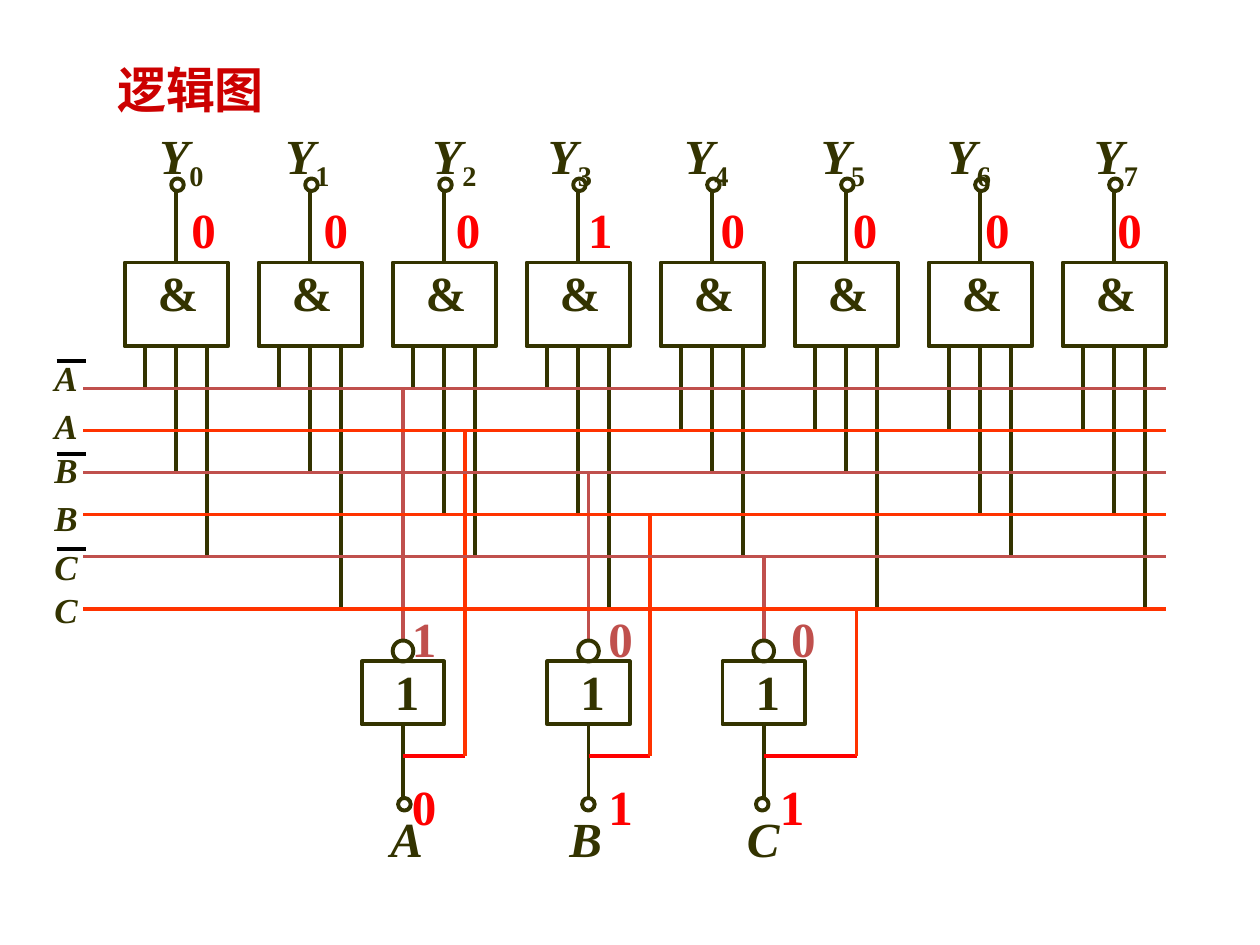
import pptx
import pptx.util
import pptx.dml.color
import pptx.enum.shapes
import pptx.enum.text
import pptx.oxml.ns
from lxml import etree

THEME = {
    "font": "Times New Roman",
    "title": "CC0000", "ink": "333300", "inverted": "C0504D",
    "direct": "FF3300", "value": "FF0000", "bar": "000000",
    "large": 28, "small": 20, "line": 2.25,
}

TITLE = "逻辑图"
OUTPUTS = [("0", 14), ("0", 26), ("0", 40), ("1", 51),
           ("0", 64), ("0", 77), ("0", 89), ("0", 103)]
BUSES = [
    {"name": "A", "row": 37, "label": 33.2, "bar": 34.4},
    {"name": "A", "row": 41, "label": 37.8},
    {"name": "B", "row": 45, "label": 42, "bar": 43.2},
    {"name": "B", "row": 49, "label": 46.6},
    {"name": "C", "row": 53, "label": 51.2, "bar": 52.3},
    {"name": "C", "row": 58, "label": 55.3},
]
INPUTS = [
    {"name": "A", "value": "0", "inverse": "1", "column": 23, "feedback": 33,
     "terminal": 3.16, "label": 3, "value_left": 3.17, "inverse_left": 3.17},
    {"name": "B", "value": "1", "inverse": "0", "column": 41, "feedback": 51,
     "terminal": 4.62, "label": 4.42, "value_left": 4.73, "inverse_left": 4.73},
    {"name": "C", "value": "1", "inverse": "0", "column": 58, "feedback": 71,
     "terminal": 6, "label": 5.83, "value_left": 6.09, "inverse_left": 6.18},
]

ROW = 1 / 12
COLUMN = 0.0818
GRID_LEFT = 0.99
GATE_PITCH, GATE_WIDTH, PINS = 13, 10, (2, 5, 8)
GATE_TOP, GATE_HEIGHT = 25, 8
INVERTER_TOP, INVERTER_WIDTH, INVERTER_HEIGHT = 63, 8, 6
BUS_START, BUS_END = -4, 101
TERMINAL = 0.1

Inches = pptx.util.Inches
SHAPES = pptx.enum.shapes.MSO_SHAPE

presentation = pptx.Presentation()
presentation.slide_width = Inches(10)
presentation.slide_height = Inches(7.5)
slide = presentation.slides.add_slide(presentation.slide_layouts[5])


def column_x(column):
    return GRID_LEFT + column * COLUMN


def color(name):
    return pptx.dml.color.RGBColor.from_string(THEME[name])


def apply(target, values):
    for name, value in values.items():
        setattr(target, name, value)


def write(shape, runs, tint, size="large", margin_top=0.08):
    frame = shape.text_frame
    apply(frame, {
        "word_wrap": True, "auto_size": pptx.enum.text.MSO_AUTO_SIZE.NONE,
        "vertical_anchor": pptx.enum.text.MSO_ANCHOR.TOP,
        "margin_left": Inches(0.1), "margin_right": 0,
        "margin_top": Inches(margin_top), "margin_bottom": 0,
    })
    paragraph = frame.paragraphs[0]
    paragraph.alignment = pptx.enum.text.PP_ALIGN.LEFT
    for text, italic, baseline in runs:
        run = paragraph.add_run()
        run.text = text
        apply(run.font, {"name": THEME["font"], "bold": True, "italic": italic,
                         "size": pptx.util.Pt(THEME[size])})
        run.font.color.rgb = color(tint)
        if baseline:
            run.font._element.set("baseline", str(baseline))


def label(left, row, runs, tint="ink", size="large", width=0.65):
    height = 0.57 if size == "large" else 0.43
    box = slide.shapes.add_textbox(
        Inches(left), Inches(row * ROW), Inches(width), Inches(height))
    write(box, runs, tint, size, 0.08 if size == "large" else 0.06)


def outline(kind, left, row, width, height):
    shape = slide.shapes.add_shape(
        kind, Inches(left), Inches(row * ROW), Inches(width), Inches(height))
    shape.shadow.inherit = False
    shape.fill.background()
    shape.line.color.rgb = color("ink")
    shape.line.width = pptx.util.Pt(THEME["line"])
    return shape


def wire(start_x, start_row, end_x, end_row, tint="ink", source=None, site=0):
    connector = slide.shapes.add_connector(
        pptx.enum.shapes.MSO_CONNECTOR.STRAIGHT, Inches(start_x),
        Inches(start_row * ROW), Inches(end_x), Inches(end_row * ROW))
    connector.line.color.rgb = color(tint)
    connector.line.width = pptx.util.Pt(THEME["line"])
    etree.SubElement(connector._element.spPr, pptx.oxml.ns.qn("a:effectLst"))
    if source is not None:
        connector.begin_connect(source, site)


def draw_title():
    title = slide.shapes.title
    apply(title, {"left": Inches(0.83), "top": Inches(0.42),
                  "width": Inches(1.51), "height": Inches(0.57)})
    write(title, [(TITLE, False, 0)], "title", margin_top=0.05)


def draw_gate(index, value, label_column):
    left = column_x(index * GATE_PITCH)
    bottom = GATE_TOP + GATE_HEIGHT
    middle = left + GATE_WIDTH / 2 * COLUMN
    gate = outline(SHAPES.RECTANGLE, left, GATE_TOP,
                   GATE_WIDTH * COLUMN, GATE_HEIGHT * ROW)
    label(left + 2 * COLUMN, GATE_TOP - 1, [("&", False, 0)])
    wire(middle, GATE_TOP, middle, 18, source=gate)
    outline(SHAPES.OVAL, middle - TERMINAL / 2 + 0.01, 17, TERMINAL, TERMINAL)
    for position, pin in enumerate(PINS):
        bit = index >> (2 - position) & 1
        pin_x = left + pin * COLUMN
        wire(pin_x, bottom, pin_x, BUSES[2 * position + bit]["row"],
             source=gate if position == 1 else None, site=2)
    label(label_column * ROW, 11, [("Y", True, 0), (str(index), False, -25000)])
    label(1.42 + 1.05 * index, 18, [(value, False, 0)], "value")


def draw_bus(index, bus):
    tint = "direct" if index % 2 else "inverted"
    wire(column_x(BUS_START), bus["row"], column_x(BUS_END), bus["row"], tint)
    label(4 * ROW, bus["label"], [(bus["name"], True, 0)], size="small", width=0.39)
    if "bar" in bus:
        wire(0.45, bus["bar"], 0.68, bus["bar"], "bar")


def draw_input(index, signal):
    left = column_x(signal["column"])
    middle = left + INVERTER_WIDTH / 2 * COLUMN
    feedback = column_x(signal["feedback"])
    bottom = INVERTER_TOP + INVERTER_HEIGHT
    inverted, direct = BUSES[2 * index:2 * index + 2]
    wire(middle, INVERTER_TOP - 2, middle, inverted["row"], "inverted")
    inverter = outline(SHAPES.RECTANGLE, left, INVERTER_TOP,
                       INVERTER_WIDTH * COLUMN, INVERTER_HEIGHT * ROW)
    outline(SHAPES.OVAL, middle - COLUMN, INVERTER_TOP - 2, 2 * COLUMN, 2 * ROW)
    label(left + 2 * COLUMN, INVERTER_TOP - 1, [("1", False, 0)])
    wire(middle, bottom, middle, 76, source=inverter, site=2)
    wire(middle, 72, feedback, 72, "value")
    wire(feedback, 72, feedback, direct["row"], "direct")
    outline(SHAPES.OVAL, signal["terminal"], 76, TERMINAL, TERMINAL)
    label(signal["label"], 76, [(signal["name"], True, 0)])
    label(signal["value_left"], 73, [(signal["value"], False, 0)], "value")
    label(signal["inverse_left"], 57, [(signal["inverse"], False, 0)], "inverted")


draw_title()
for index, (value, label_column) in enumerate(OUTPUTS):
    draw_gate(index, value, label_column)
for index, signal in enumerate(INPUTS):
    draw_input(index, signal)
for index, bus in enumerate(BUSES):
    draw_bus(index, bus)
presentation.save("out.pptx")
